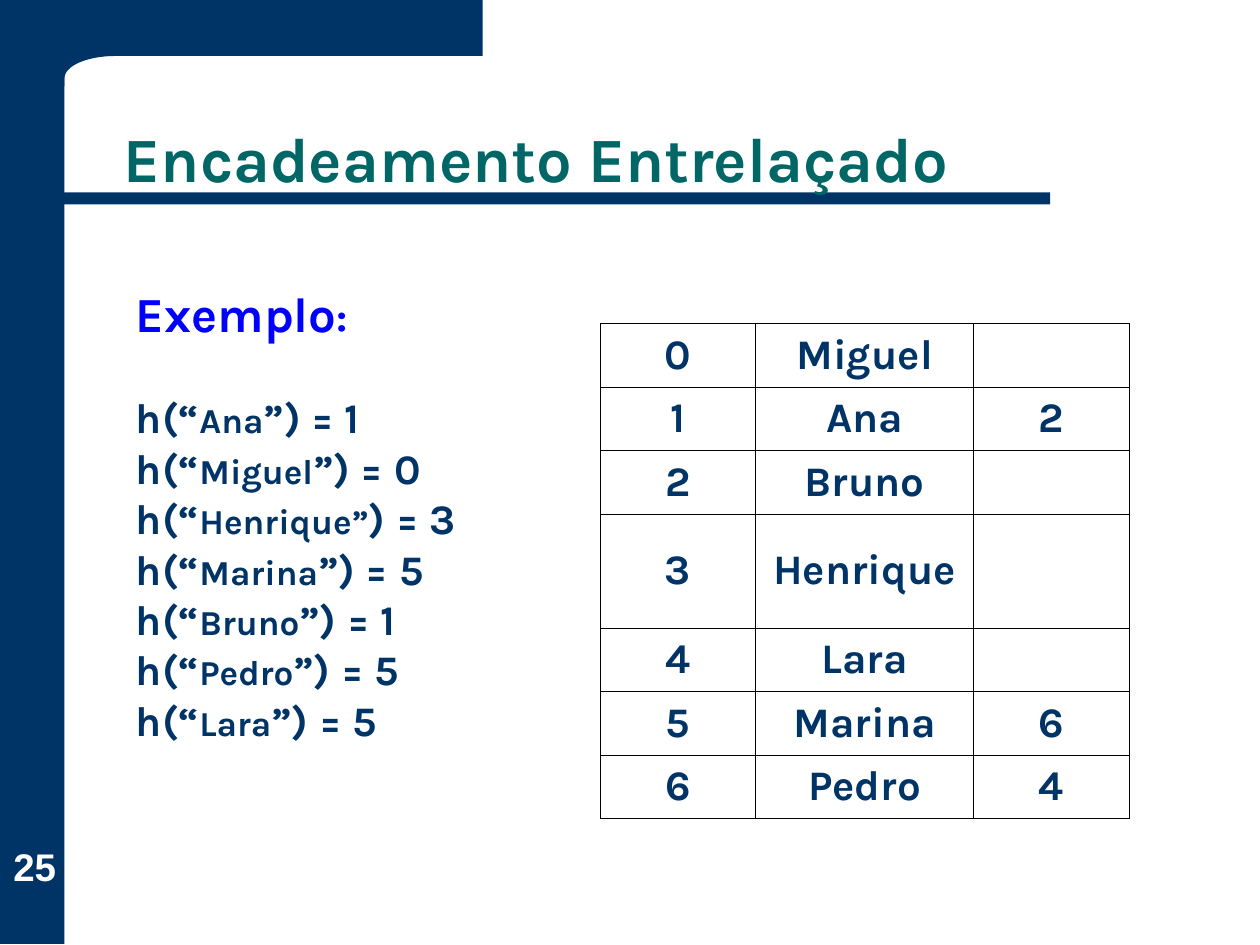
from math import cos, pi, sin

from lxml import etree
from pptx import Presentation
from pptx.dml.color import RGBColor
from pptx.enum.shapes import MSO_SHAPE
from pptx.enum.text import MSO_ANCHOR, PP_ALIGN
from pptx.oxml.ns import qn
from pptx.util import Cm, Pt

NAVY = RGBColor(0x00, 0x33, 0x66)
TEAL = RGBColor(0x00, 0x66, 0x66)
BLUE = RGBColor(0x00, 0x00, 0xFF)
WHITE = RGBColor(0xFF, 0xFF, 0xFF)
RECTANGLE = MSO_SHAPE.RECTANGLE
TOP, MIDDLE, BOTTOM = MSO_ANCHOR.TOP, MSO_ANCHOR.MIDDLE, MSO_ANCHOR.BOTTOM
LEFT, CENTER = PP_ALIGN.LEFT, PP_ALIGN.CENTER
FONT = "Karla"

TITLE = "Encadeamento Entrelaçado"
PAGE_NUMBER = "25"
HEADING = [("Exemplo", 28), (":", 24)]
HASHES = [
    ("Ana", "”) = 1"),
    ("Miguel", "”) = 0"),
    ("Henrique”", ") = 3"),
    ("Marina", "”) = 5"),
    ("Bruno", "”) = 1"),
    ("Pedro", "”) = 5"),
    ("Lara", "”) = 5"),
]
ENTRIES = [
    ("Miguel", ""),
    ("Ana", "2"),
    ("Bruno", ""),
    ("Henrique", ""),
    ("Lara", ""),
    ("Marina", "6"),
    ("Pedro", "4"),
]
COLUMN_WIDTHS = [3.13, 4.4, 3.13]
ROW_HEIGHT, TALL_ROW_HEIGHT, TALL_ROW = 1.28, 2.3, 3
BARS = [(0, 0, 1.3, 19.03), (0.62, 3.88, 20.55, 0.24)]
BAND_RIGHT, BAND_BOTTOM, SIDEBAR_RIGHT = 9.73, 1.13, 1.3
CORNER_WIDTH, CORNER_HEIGHT, CORNER_STEPS = 1.02, 0.45, 16


def paint(shape):
    shape.shadow.inherit = False
    shape.fill.solid()
    shape.fill.fore_color.rgb = NAVY
    shape.line.fill.background()


def add_run(paragraph, text, size, color, font=FONT):
    run = paragraph.add_run()
    run.text = text
    run.font.size = Pt(size)
    run.font.name = font
    run.font.bold = True
    run.font.color.rgb = color


def add_text_frame(slide, box, anchor):
    frame = slide.shapes.add_textbox(*map(Cm, box)).text_frame
    frame.word_wrap = True
    frame.vertical_anchor = anchor
    return frame


def add_borders(cell):
    properties = cell._tc.get_or_add_tcPr()
    for position, side in enumerate(("lnL", "lnR", "lnT", "lnB")):
        line = etree.Element(qn(f"a:{side}"), w=str(Pt(0.45)))
        fill = etree.SubElement(line, qn("a:solidFill"))
        etree.SubElement(fill, qn("a:srgbClr"), val="000000")
        properties.insert(position, line)


def add_frame(slide):
    for bar in BARS:
        paint(slide.shapes.add_shape(RECTANGLE, *map(Cm, bar)))
    angles = [step * pi / 2 / CORNER_STEPS for step in range(CORNER_STEPS + 1)]
    corner = [
        (
            SIDEBAR_RIGHT + CORNER_WIDTH * (1 - sin(angle)),
            BAND_BOTTOM + CORNER_HEIGHT * (1 - cos(angle)),
        )
        for angle in angles
    ]
    outline = [(BAND_RIGHT, 0), (BAND_RIGHT, BAND_BOTTOM), *corner]
    outline += [(SIDEBAR_RIGHT, 1.73), (0.23, 1.73)]
    builder = slide.shapes.build_freeform(Cm(0.23), 0, scale=1.0)
    builder.add_line_segments([(Cm(x), Cm(y)) for x, y in outline], close=True)
    paint(builder.convert_to_shape())


def add_labels(slide):
    number = add_text_frame(slide, (0.08, 16.56, 1.24, 1.37), BOTTOM)
    number.margin_left = number.margin_right = 0
    number.margin_top = number.margin_bottom = 0
    number.paragraphs[0].alignment = CENTER
    add_run(number.paragraphs[0], PAGE_NUMBER, 22, WHITE, "Arial")

    title = add_text_frame(slide, (2.25, 0.91, 21.88, 3.18), BOTTOM)
    title.paragraphs[0].line_spacing = 0.9
    add_run(title.paragraphs[0], TITLE, 36, TEAL)


def add_hashes(slide):
    frame = add_text_frame(slide, (2.49, 5.6, 8.99, 10.5), TOP)
    heading = frame.paragraphs[0]
    heading.alignment = LEFT
    heading.space_after = Pt(28)
    for text, size in HEADING:
        add_run(heading, text, size, BLUE)
    for name, result in HASHES:
        paragraph = frame.add_paragraph()
        for text, size in (("h(“", 24), (name, 20), (result, 24)):
            add_run(paragraph, text, size, NAVY)


def add_hash_table(slide):
    heights = [ROW_HEIGHT] * len(ENTRIES)
    heights[TALL_ROW] = TALL_ROW_HEIGHT
    box = (12.1, 6.52, sum(COLUMN_WIDTHS), sum(heights))
    table = slide.shapes.add_table(
        len(ENTRIES), len(COLUMN_WIDTHS), *map(Cm, box)
    ).table
    table.first_row = table.horz_banding = False
    for column, width in zip(table.columns, COLUMN_WIDTHS):
        column.width = Cm(width)
    for index, (entry, height) in enumerate(zip(ENTRIES, heights)):
        table.rows[index].height = Cm(height)
        for column, text in enumerate((str(index), *entry)):
            cell = table.cell(index, column)
            cell.fill.background()
            cell.vertical_anchor = MIDDLE
            add_borders(cell)
            paragraph = cell.text_frame.paragraphs[0]
            paragraph.alignment = CENTER
            if text:
                add_run(paragraph, text, 24, NAVY)


def main():
    presentation = Presentation()
    presentation.slide_width = Cm(25.4)
    presentation.slide_height = Cm(19.05)
    slide = presentation.slides.add_slide(presentation.slide_layouts[6])
    add_frame(slide)
    add_labels(slide)
    add_hashes(slide)
    add_hash_table(slide)
    presentation.save("out.pptx")


if __name__ == "__main__":
    main()
